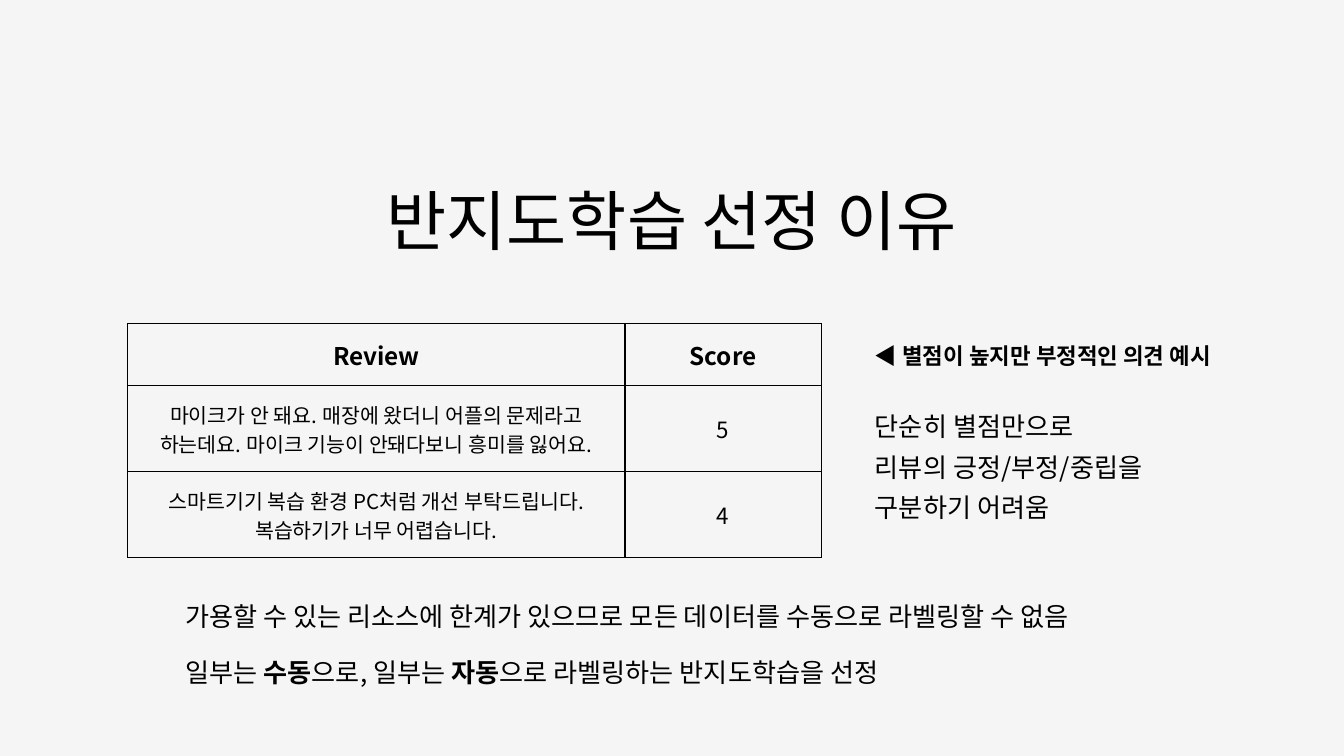
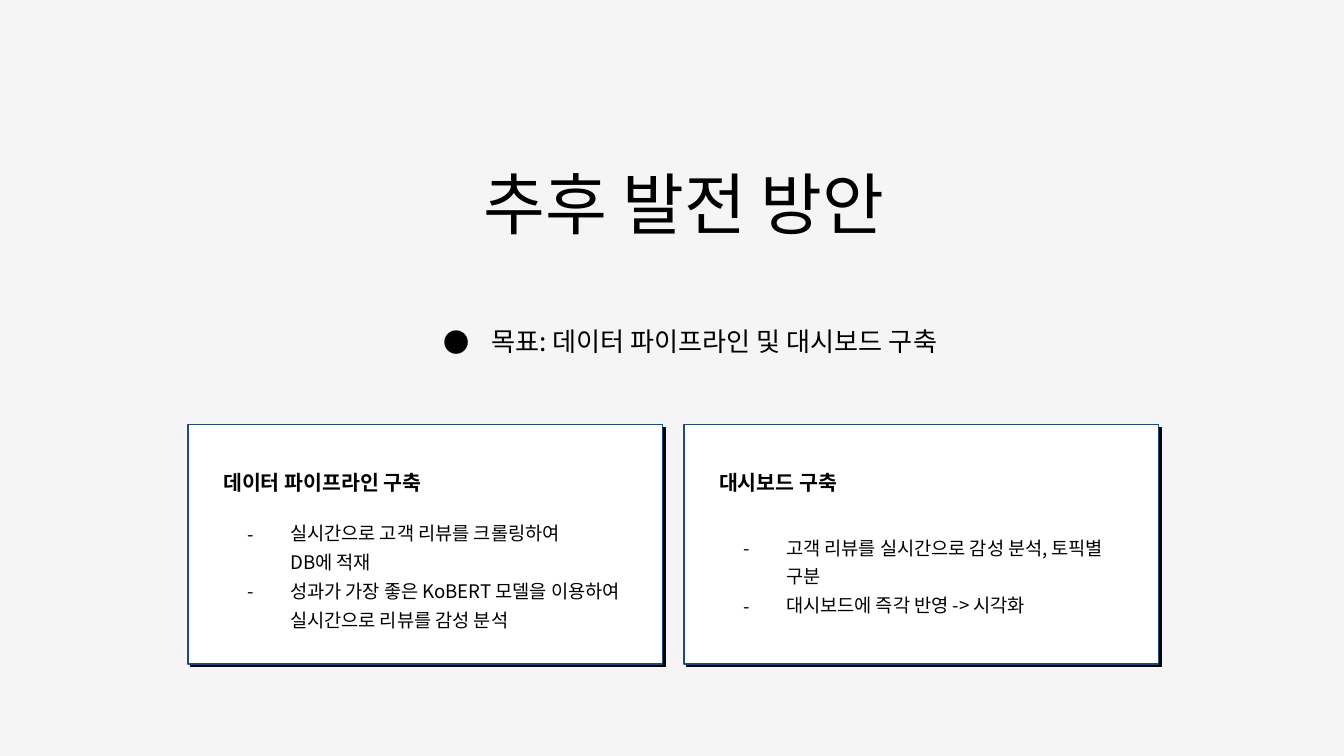
from dataclasses import dataclass
from typing import Any, NamedTuple

import lxml.etree
import pptx
import pptx.dml.color
import pptx.enum.shapes
import pptx.enum.text
import pptx.oxml
import pptx.oxml.ns
import pptx.util

Inches = pptx.util.Inches
Pt = pptx.util.Pt
ALIGN = pptx.enum.text.PP_ALIGN
ANCHOR = pptx.enum.text.MSO_ANCHOR

FONT = "Noto Sans CJK KR"
BLACK, WHITE, BLUE, PAPER = "000000", "FFFFFF", "1F497D", "F5F5F5"
LINE = 0.75
CARD_TOP, CARD_WIDE, CARD_HIGH, INSET = 3.16, 3.53, 1.78, 0.26


class Box(NamedTuple):
    left: float
    top: float
    width: float
    height: float


class Run(NamedTuple):
    text: str
    bold: bool = False


@dataclass
class Para:
    runs: list[Run]
    size: float
    center: bool = False
    space: float | None = 1.28
    before: float = 0
    bullet: str = ""
    margin: float = 0
    hang: float = 0


@dataclass
class Card:
    left: float
    title: str
    items: list[Para]


def color(code: str) -> pptx.dml.color.RGBColor:
    return pptx.dml.color.RGBColor.from_string(code)


def add_node(parent: Any, tag: str, **attrs: Any) -> Any:
    node = lxml.etree.SubElement(parent, pptx.oxml.ns.qn(tag))
    for key, value in attrs.items():
        node.set(key, str(value))
    return node


def place(box: Box) -> list[int]:
    """Give the four lengths of a box in slide units."""
    return [Inches(side) for side in box]


def plain(text: str, size: float, bold: bool = False, **style: Any) -> Para:
    """Make a paragraph of a single run."""
    return Para([Run(text, bold)], size, **style)


def item(text: str, bullet: str = "-") -> Para:
    hang = -0.32 if bullet else 0
    return plain(text, 10, space=1.29, bullet=bullet, margin=0.5, hang=hang)


def write(frame: Any, paras: list[Para]) -> None:
    """Fill a text frame with styled paragraphs."""
    for i, para in enumerate(paras):
        line = frame.add_paragraph() if i else frame.paragraphs[0]
        props = line._p.get_or_add_pPr()
        if para.margin:
            props.set("marL", str(Inches(para.margin)))
            props.set("indent", str(Inches(para.hang)))
        if para.bullet:
            add_node(add_node(props, "a:buClr"), "a:srgbClr", val=BLACK)
            add_node(props, "a:buFont", typeface=FONT)
            add_node(props, "a:buChar", char=para.bullet)
        line.alignment = ALIGN.CENTER if para.center else ALIGN.LEFT
        if para.space:
            line.line_spacing = para.space
        if para.before:
            line.space_before = Pt(para.before)
        for part in para.runs:
            run = line.add_run()
            run.text = part.text
            run.font.size = Pt(para.size)
            run.font.bold = part.bold
            run.font.color.rgb = color(BLACK)
            run.font.name = FONT
            style = run._r.get_or_add_rPr()
            style.set("kern", "0")
            add_node(style, "a:ea", typeface=FONT)


def add_text(slide: Any, box: Box, paras: list[Para]) -> None:
    frame = slide.shapes.add_textbox(*place(box)).text_frame
    frame.word_wrap = True
    frame.vertical_anchor = ANCHOR.MIDDLE
    frame.margin_left = frame.margin_right = 0
    frame.margin_top = frame.margin_bottom = 0
    write(frame, paras)


def add_slide(deck: Any, title: str, left: float, top: float, size: float) -> Any:
    slide = deck.slides.add_slide(deck.slide_layouts[6])
    slide.background.fill.solid()
    slide.background.fill.fore_color.rgb = color(PAPER)
    add_text(slide, Box(left, top, 5.44, 0.9), [plain(title, size, center=True, space=0.99)])
    return slide


def frame_cell(cell: Any) -> None:
    """Clear the fill of a cell and rule its four sides."""
    cell.fill.background()
    props = cell._tc.get_or_add_tcPr()
    for i, side in enumerate(("a:lnL", "a:lnR", "a:lnT", "a:lnB")):
        edge = add_node(props, side, w=Pt(LINE))
        add_node(add_node(edge, "a:solidFill"), "a:srgbClr", val=BLACK)
        props.insert(i, edge)


def add_table(slide: Any, rows: list[tuple[str, str]]) -> None:
    widths, highs = (3.7, 1.46), (0.46, 0.64, 0.64)
    box = Box(0.95, 2.41, sum(widths), sum(highs))
    table = slide.shapes.add_table(len(rows), len(widths), *place(box)).table
    table.first_row = table.horz_banding = False
    for col, width in zip(table.columns, widths):
        col.width = Inches(width)
    for r, texts in enumerate(rows):
        table.rows[r].height = Inches(highs[r])
        for c, text in enumerate(texts):
            cell = table.cell(r, c)
            cell.margin_left = cell.margin_right = Inches(0.1)
            cell.margin_top = cell.margin_bottom = Inches(0.1)
            cell.vertical_anchor = ANCHOR.MIDDLE if c else ANCHOR.TOP
            size = 13 if r == 0 else (11, 12)[c]
            write(cell.text_frame, [plain(text, size, r == 0, center=True, space=None)])
            frame_cell(cell)


def add_card(slide: Any, card: Card) -> None:
    box = Box(card.left, CARD_TOP, CARD_WIDE, CARD_HIGH)
    shape = slide.shapes.add_shape(pptx.enum.shapes.MSO_SHAPE.RECTANGLE, *place(box))
    shape.fill.solid()
    shape.fill.fore_color.rgb = color(WHITE)
    shape.line.color.rgb = color(BLUE)
    shape.line.width = Pt(LINE)
    shape.shadow.inherit = False
    effects = shape._element.spPr.find(pptx.oxml.ns.qn("a:effectLst"))
    shade = add_node(effects, "a:outerShdw", blurRad=0, dist=Pt(2),
                     dir=45 * 60000, algn="bl", rotWithShape=0)
    add_node(shade, "a:srgbClr", val=BLACK)
    left = card.left + INSET
    add_text(slide, Box(left, 3.45, 3.05, 0.22), [plain(card.title, 11, True, space=1.29)])
    add_text(slide, Box(left, 3.84, 3.05, 0.85), card.items)


def build_reason(deck: Any) -> None:
    slide = add_slide(deck, "반지도학습 선정 이유", 2.28, 1.2, 35)
    add_table(slide, [
        ("Review", "Score"),
        ("마이크가 안 돼요. 매장에 왔더니 어플의 문제라고 하는데요. "
         "마이크 기능이 안돼다보니 흥미를 잃어요.", "5"),
        ("스마트기기 복습 환경 PC처럼 개선 부탁드립니다. "
         "복습하기가 너무 어렵습니다.", "4"),
    ])
    add_text(slide, Box(6.51, 2.34, 4.08, 0.56),
             [plain("◀ 별점이 높지만 부정적인 의견 예시", 12, True)])
    limits = ("단순히 별점만으로", "리뷰의 긍정/부정/중립을", "구분하기 어려움")
    add_text(slide, Box(6.51, 3.16, 4.08, 0.56), [plain(text, 14) for text in limits])
    choice = [Run("일부는 "), Run("수동", True), Run("으로, 일부는 "),
              Run("자동", True), Run("으로 라벨링하는 반지도학습을 선정")]
    add_text(slide, Box(1.38, 4.48, 7.94, 0.56), [
        plain("가용할 수 있는 리소스에 한계가 있으므로 모든 데이터를 수동으로 라벨링할 수 없음", 14),
        Para(choice, 14, before=8),
    ])


def build_plan(deck: Any) -> None:
    slide = add_slide(deck, "추후 발전 방안", 2.37, 1.08, 36)
    add_text(slide, Box(1.58, 2.01, 6.97, 0.99),
             [plain("목표: 데이터 파이프라인 및 대시보드 구축", 14, center=True,
                    bullet="●", margin=0.5, hang=-0.35)])
    cards = [
        Card(1.4, "데이터 파이프라인 구축", [
            item("실시간으로 고객 리뷰를 크롤링하여"),
            item("DB에 적재", bullet=""),
            item("성과가 가장 좋은 KoBERT 모델을 이용하여 실시간으로 리뷰를 감성 분석"),
        ]),
        Card(5.09, "대시보드 구축", [
            item("고객 리뷰를 실시간으로 감성 분석, 토픽별 구분"),
            item("대시보드에 즉각 반영 -> 시각화"),
        ]),
    ]
    for card in cards:
        add_card(slide, card)


def main() -> None:
    deck = pptx.Presentation()
    deck.slide_width = Inches(10)
    deck.slide_height = Inches(10) * 9 // 16
    build_reason(deck)
    build_plan(deck)
    deck.save("out.pptx")


if __name__ == "__main__":
    main()
